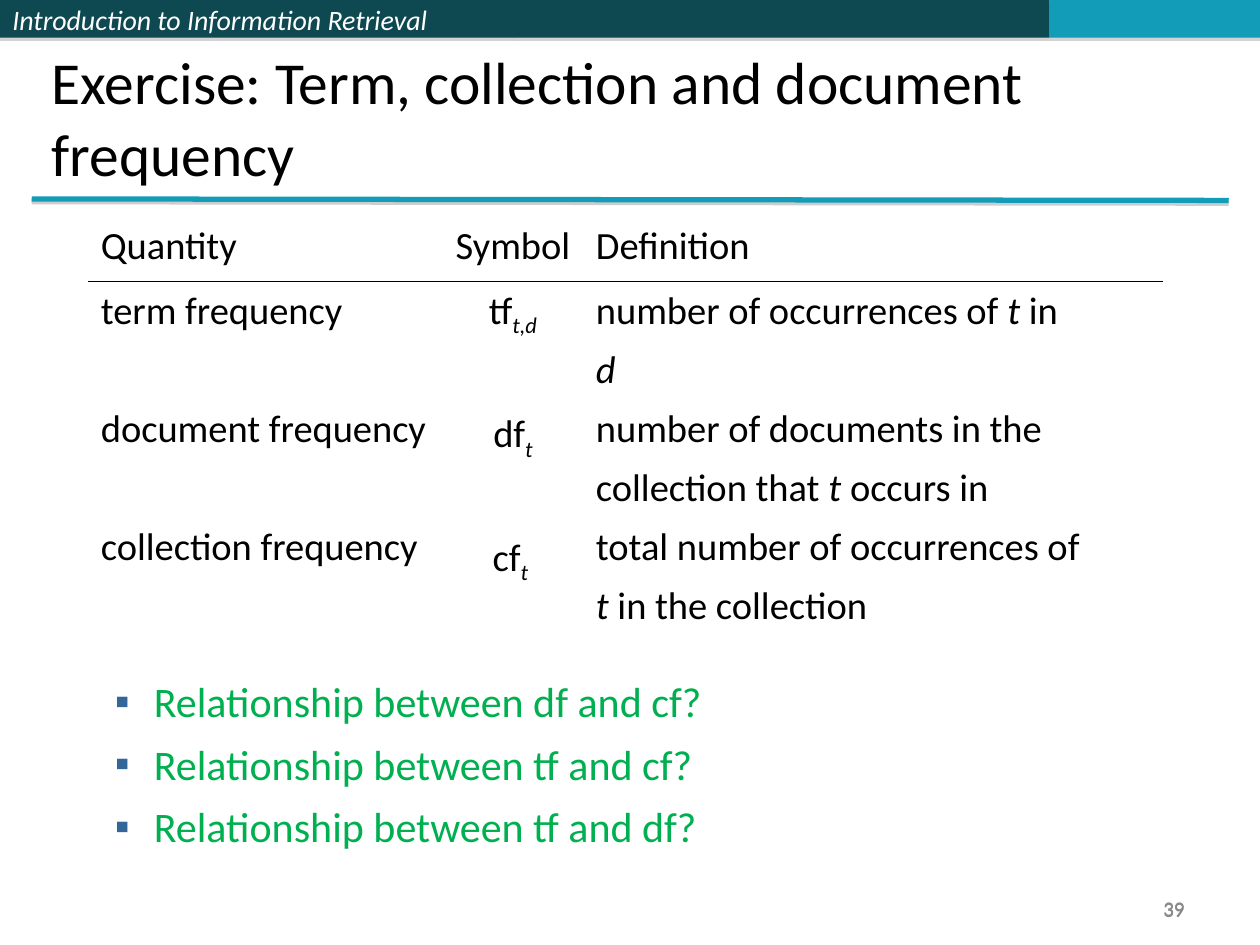
import pptx
import pptx.util
import pptx.dml.color
import pptx.enum.shapes
import pptx.enum.text
import pptx.oxml
import pptx.oxml.ns

Cm, Pt = pptx.util.Cm, pptx.util.Pt
RGBColor = pptx.dml.color.RGBColor
ALIGN = pptx.enum.text.PP_ALIGN
ANCHOR = pptx.enum.text.MSO_ANCHOR

DARK_TEAL = RGBColor(0x0E, 0x48, 0x51)
TEAL = RGBColor(0x13, 0x9C, 0xB7)
WHITE = RGBColor(0xFF, 0xFF, 0xFF)
BLACK = RGBColor(0, 0, 0)
GREEN = RGBColor(0x00, 0xB0, 0x50)
GREY = RGBColor(0x89, 0x89, 0x89)
SHADE = RGBColor(0x80, 0x80, 0x80)
BULLET_BLUE = RGBColor(0x33, 0x66, 0x99)

ITALIC = "italic"
SUB = "sub"  # italic subscript


def xml(tag, body="", attrs=""):
    ns = pptx.oxml.ns.nsdecls("a")
    return pptx.oxml.parse_xml(f"<a:{tag} {ns} {attrs}>{body}</a:{tag}>")


class SlideBuilder:
    font = "Calibri"

    def __init__(self, slide):
        self.s = slide

    def add_text(self, tf, paragraphs, size, color, align=ALIGN.LEFT,
                 before=0, gap=None, italic=False):
        """Fill a text frame; a paragraph is a list of strings and (text, style) pairs."""
        for i, runs in enumerate(paragraphs):
            p = tf.add_paragraph() if i else tf.paragraphs[0]
            space = before if i == 0 or gap is None else gap
            para_format = {"alignment": align, "space_before": Pt(space)}
            for name, value in para_format.items():
                setattr(p, name, value)
            for run in runs:
                text, style = (run, None) if isinstance(run, str) else run
                r = p.add_run()
                r.text = text
                font_format = {"name": self.font, "size": Pt(size),
                               "italic": italic or style is not None}
                for name, value in font_format.items():
                    setattr(r.font, name, value)
                r.font.color.rgb = color
                if style == SUB:
                    r._r.get_or_add_rPr().set("baseline", "-25000")

    def shadow(self, sp, alpha, dist):
        color = f'<a:srgbClr val="{SHADE}"><a:alpha val="{alpha * 1000}"/></a:srgbClr>'
        effect = (f'<a:outerShdw dist="{Pt(dist)}" dir="5400000" '
                  f'rotWithShape="0">{color}</a:outerShdw>')
        sp._element.spPr.append(xml("effectLst", effect))

    def bar(self, left, width, color, text=None):
        sp = self.s.shapes.add_shape(pptx.enum.shapes.MSO_SHAPE.RECTANGLE,
                                     Cm(left), 0, Cm(width), Cm(0.76))
        sp.fill.solid()
        sp.fill.fore_color.rgb = color
        sp.line.fill.background()
        self.shadow(sp, 35, 1.8)
        if text:
            sp.text_frame.vertical_anchor = ANCHOR.MIDDLE
            self.add_text(sp.text_frame, [[text]], 16, WHITE, italic=True)

    def rule(self, x1, y1, x2, y2):
        sp = self.s.shapes.add_connector(pptx.enum.shapes.MSO_CONNECTOR.STRAIGHT,
                                         Cm(x1), Cm(y1), Cm(x2), Cm(y2))
        sp.line.color.rgb = TEAL
        sp.line.width = Pt(3)
        self.shadow(sp, 38, 1.6)

    def text_box(self, box, text):
        tf = self.s.shapes.add_textbox(*map(Cm, box)).text_frame
        tf.word_wrap = True
        tf.vertical_anchor = ANCHOR.MIDDLE
        self.add_text(tf, [[text]], 12, GREY, ALIGN.RIGHT)

    def place(self, sp, box, anchor):
        for name, value in zip(("left", "top", "width", "height"), box):
            setattr(sp, name, Cm(value))
        frame_format = {"word_wrap": True, "vertical_anchor": anchor,
                        "auto_size": pptx.enum.text.MSO_AUTO_SIZE.NONE}
        for name, value in frame_format.items():
            setattr(sp.text_frame, name, value)
        return sp.text_frame

    def title(self, box, text):
        tf = self.place(self.s.shapes.title, box, ANCHOR.BOTTOM)
        self.add_text(tf, [[text]], 34, BLACK)

    def bullets(self, box, items):
        tf = self.place(self.s.placeholders[1], box, ANCHOR.TOP)
        self.add_text(tf, [[item] for item in items], 24, GREEN, before=7)
        for p in tf.paragraphs:
            p.level = 1
            pPr = p._p.get_or_add_pPr()
            pPr.set("marL", str(Cm(2.06)))
            pPr.set("indent", str(Cm(-0.79)))
            pPr.append(xml("buClr", f'<a:srgbClr val="{BULLET_BLUE}"/>'))
            pPr.append(xml("buFont", attrs='typeface="Arial"'))
            pPr.append(xml("buChar", attrs='char="▪"'))

    def border(self, cell, top, bottom):
        tcPr = cell._tc.get_or_add_tcPr()
        for i, (tag, color) in enumerate((("lnT", top), ("lnB", bottom))):
            fill = f'<a:solidFill><a:srgbClr val="{color}"/></a:solidFill>'
            tcPr.insert(i, xml(tag, fill, f'w="{Pt(1)}"'))

    def table(self, left, top, widths, heights, header, body):
        tbl = self.s.shapes.add_table(2, len(widths), Cm(left), Cm(top),
                                      Cm(sum(widths)), Cm(sum(heights))).table
        for name in ("first_row", "horz_banding"):
            setattr(tbl, name, False)
        for row, height in zip(tbl.rows, heights):
            row.height = Cm(height)
        for c, (width, name, (lines, gap)) in enumerate(zip(widths, header, body)):
            tbl.columns[c].width = Cm(width)
            align = ALIGN.CENTER if c == 1 else ALIGN.LEFT
            head, cell = tbl.cell(0, c), tbl.cell(1, c)
            head.fill.background()
            cell.fill.solid()
            cell.fill.fore_color.rgb = WHITE
            clr = cell._tc.tcPr.find(".//" + pptx.oxml.ns.qn("a:srgbClr"))
            clr.append(xml("alpha", attrs='val="20000"'))
            self.border(head, WHITE, BLACK)
            self.border(cell, BLACK, WHITE)
            self.add_text(head.text_frame, [[name]], 22, BLACK, align)
            self.add_text(cell.text_frame, lines, 22, BLACK, align, before=7, gap=gap)


def main():
    prs = pptx.Presentation()
    prs.slide_width, prs.slide_height = Cm(25.4), Cm(19.05)
    b = SlideBuilder(prs.slides.add_slide(prs.slide_layouts[1]))

    # Header band and title rule
    b.bar(0, 10.36, DARK_TEAL, "Introduction to Information Retrieval")
    b.bar(10.36, 10.8, DARK_TEAL)
    b.bar(21.16, 4.24, TEAL)
    b.rule(0.64, 4.01, 24.77, 4.04)

    # Title and questions
    b.title((0.79, 0.03, 24.61, 3.89),
            "Exercise: Term, collection and document frequency")
    b.bullets((0.79, 13.49, 23.01, 6.76),
              [f"Relationship between {x} and {y}?"
               for x, y in (("df", "cf"), ("tf", "cf"), ("tf", "df"))])

    # Page number, set twice so that it reads heavier
    for top, height in ((17.98, 0.69), (17.93, 0.76)):
        b.text_box((18.21, top, 5.92, height), "39")

    # Definitions: each quantity spans two lines of the last column
    two_lines = 40.85
    quantities = [["term frequency"], ["document frequency"], ["collection frequency"]]
    symbols = [["tf", ("t,d", SUB)], ["df", ("t", SUB)], ["cf", ("t ", SUB)]]
    definitions = [
        ["number of occurrences of ", ("t", ITALIC), " in"],
        [("d", ITALIC)],
        ["number of documents in the"],
        ["collection that", (" t ", ITALIC), "occurs in"],
        ["total number of occurrences of"],
        [("t", ITALIC), " in the collection"],
    ]
    b.table(1.78, 4.37, (7.14, 2.84, 11.66), (1.3, 7.24),
            ("Quantity", "Symbol", "Definition"),
            ((quantities, two_lines), (symbols, two_lines), (definitions, 7)))

    prs.save("out.pptx")


if __name__ == "__main__":
    main()
